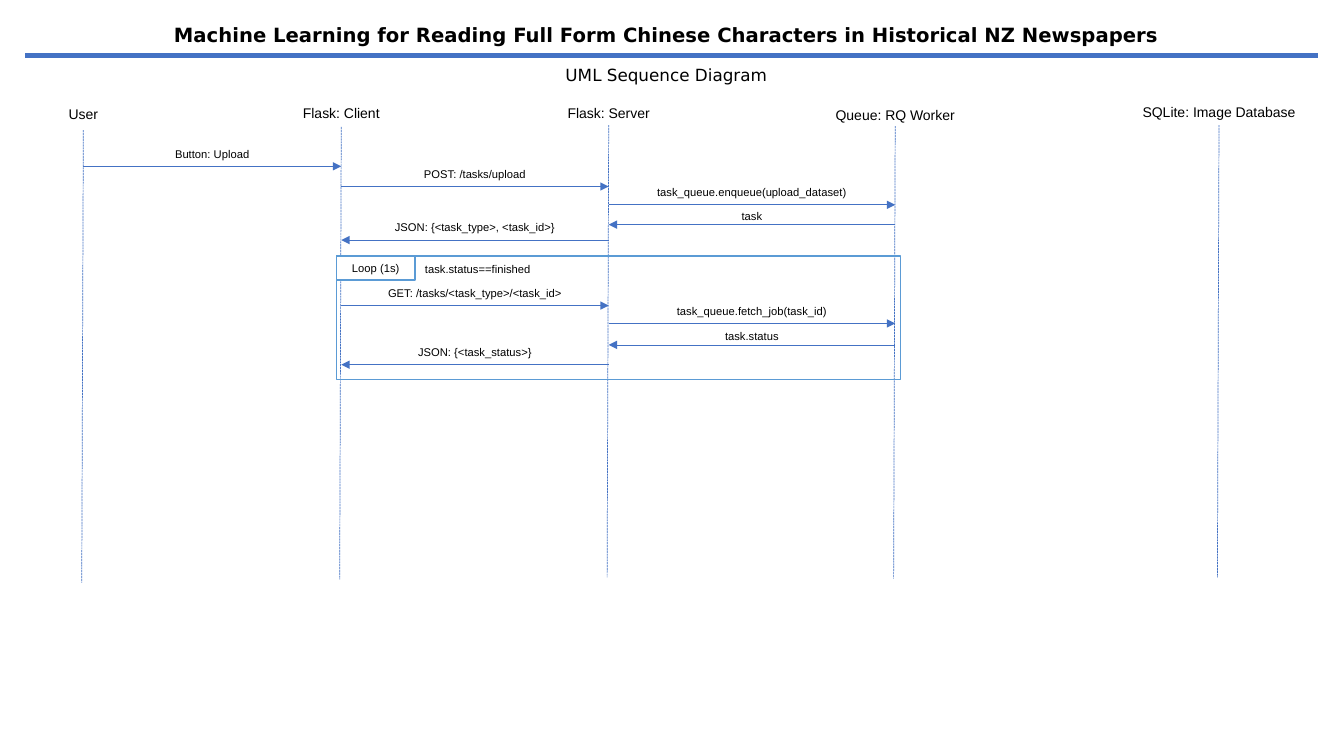
from dataclasses import dataclass

from lxml import etree
from pptx import Presentation
from pptx.dml.color import RGBColor
from pptx.enum.dml import MSO_LINE
from pptx.enum.shapes import MSO_CONNECTOR, MSO_SHAPE
from pptx.enum.text import PP_ALIGN
from pptx.oxml.ns import qn
from pptx.util import Cm, Pt

CENTER, LEFT = PP_ALIGN.CENTER, PP_ALIGN.LEFT
STRAIGHT = MSO_CONNECTOR.STRAIGHT
RECTANGLE = MSO_SHAPE.RECTANGLE
SHORT_DASH = MSO_LINE.SQUARE_DOT


@dataclass(frozen=True)
class Theme:
    text: RGBColor = RGBColor(0x00, 0x00, 0x00)
    line: RGBColor = RGBColor(0x44, 0x72, 0xC4)
    frame: RGBColor = RGBColor(0x5B, 0x9B, 0xD5)
    paper: RGBColor = RGBColor(0xFF, 0xFF, 0xFF)
    heading_font: str = "DejaVu Sans"
    diagram_font: str = "Arial"
    title_size: int = 14
    subtitle_size: int = 12
    participant_size: int = 10
    message_size: int = 8
    rule_width: float = 3
    frame_width: float = 1
    thin_width: float = 0.5


@dataclass(frozen=True)
class Lifeline:
    name: str
    x: float
    top: float
    label_top: float
    label_width: float


@dataclass(frozen=True)
class Message:
    text: str
    sender: Lifeline
    receiver: Lifeline
    y: float
    label_width: float
    label_rise: float = 0.61


THEME = Theme()
LIFELINE_LENGTH, LIFELINE_SLANT = 11.4, 0.04
PARTICIPANT_HEIGHT, MESSAGE_HEIGHT = 0.69, 0.61

USER = Lifeline("User", 2.1, 3.28, 2.54, 2.34)
CLIENT = Lifeline("Flask: Client", 8.6, 3.2, 2.51, 2.79)
SERVER = Lifeline("Flask: Server", 15.34, 3.15, 2.51, 2.79)
WORKER = Lifeline("Queue: RQ Worker", 22.56, 3.18, 2.57, 3.84)
DATABASE = Lifeline("SQLite: Image Database", 30.72, 3.15, 2.49, 4.5)

MESSAGES = [
    Message("Button: Upload", USER, CLIENT, 4.19, 4.39),
    Message("POST: /tasks/upload", CLIENT, SERVER, 4.7, 6.05),
    Message("task_queue.enqueue(upload_dataset)", SERVER, WORKER, 5.16, 6.43),
    Message("task", WORKER, SERVER, 5.66, 6.43, 0.51),
    Message("JSON: {<task_type>, <task_id>}", SERVER, CLIENT, 6.05, 5.23),
    Message("GET: /tasks/<task_type>/<task_id>", CLIENT, SERVER, 7.7, 6.05),
    Message("task_queue.fetch_job(task_id)", SERVER, WORKER, 8.15, 6.43),
    Message("task.status", WORKER, SERVER, 8.69, 6.43, 0.51),
    Message("JSON: {<task_status>}", SERVER, CLIENT, 9.19, 5.23),
]

presentation = Presentation()
presentation.slide_width, presentation.slide_height = Cm(33.87), Cm(19.05)
slide = presentation.slides.add_slide(presentation.slide_layouts[6])


def write(shape, text: str, size: float, font: str = THEME.diagram_font,
          bold: bool = False, align: PP_ALIGN = CENTER) -> None:
    shape.text_frame.word_wrap = True
    paragraph = shape.text_frame.paragraphs[0]
    paragraph.text = text
    paragraph.alignment = align
    paragraph.font.name = font
    paragraph.font.size = Pt(size)
    paragraph.font.bold = bold
    paragraph.font.color.rgb = THEME.text


def add_text(text: str, left: float, top: float, width: float, height: float,
             size: float, **style) -> None:
    box = slide.shapes.add_textbox(Cm(left), Cm(top), Cm(width), Cm(height))
    write(box, text, size, **style)


def add_line(x1: float, y1: float, x2: float, y2: float, width: float,
             dashed: bool = False, arrow: bool = False) -> None:
    line = slide.shapes.add_connector(STRAIGHT, Cm(x1), Cm(y1), Cm(x2), Cm(y2))
    line.line.color.rgb = THEME.line
    line.line.width = Pt(width)
    if dashed:
        line.line.dash_style = SHORT_DASH
    if arrow:
        etree.SubElement(line.line._get_or_add_ln(), qn("a:tailEnd"), type="triangle")
    etree.SubElement(line._element.spPr, qn("a:effectLst"))


def add_frame(left: float, top: float, width: float, height: float):
    frame = slide.shapes.add_shape(RECTANGLE, Cm(left), Cm(top), Cm(width), Cm(height))
    frame.shadow.inherit = False
    frame.fill.background()
    frame.line.color.rgb = THEME.frame
    frame.line.width = Pt(THEME.frame_width)
    return frame


def add_lifeline(lifeline: Lifeline) -> None:
    add_text(lifeline.name, lifeline.x - lifeline.label_width / 2, lifeline.label_top,
             lifeline.label_width, PARTICIPANT_HEIGHT, THEME.participant_size)
    add_line(lifeline.x, lifeline.top, lifeline.x - LIFELINE_SLANT,
             lifeline.top + LIFELINE_LENGTH, THEME.thin_width, dashed=True)


def add_message(message: Message) -> None:
    start, end = message.sender.x, message.receiver.x
    add_line(start, message.y, end, message.y, THEME.thin_width, arrow=True)
    add_text(message.text, (start + end - message.label_width) / 2,
             message.y - message.label_rise, message.label_width,
             MESSAGE_HEIGHT, THEME.message_size)


# Heading
add_text("Machine Learning for Reading Full Form Chinese Characters in Historical NZ Newspapers",
         0.36, 0.46, 32.87, 0.86, THEME.title_size, font=THEME.heading_font, bold=True)
add_line(0.64, 1.4, 33.22, 1.4, THEME.rule_width)
add_text("UML Sequence Diagram", 0.36, 1.5, 32.87, 0.76, THEME.subtitle_size,
         font=THEME.heading_font)

# Participants
for participant in (USER, CLIENT, SERVER, WORKER, DATABASE):
    add_lifeline(participant)

# Polling loop
LOOP_LEFT, LOOP_TOP, TAB_WIDTH = 8.48, 6.45, 1.98
add_frame(LOOP_LEFT, LOOP_TOP, 14.22, 3.12)
loop_tab = add_frame(LOOP_LEFT, LOOP_TOP, TAB_WIDTH, MESSAGE_HEIGHT)
loop_tab.fill.solid()
loop_tab.fill.fore_color.rgb = THEME.paper
write(loop_tab, "Loop (1s)", THEME.message_size)
add_text("task.status==finished", LOOP_LEFT + TAB_WIDTH, LOOP_TOP + 0.03, 4.78,
         MESSAGE_HEIGHT, THEME.message_size, align=LEFT)

# Messages in time order
for message in MESSAGES:
    add_message(message)

presentation.save("out.pptx")
